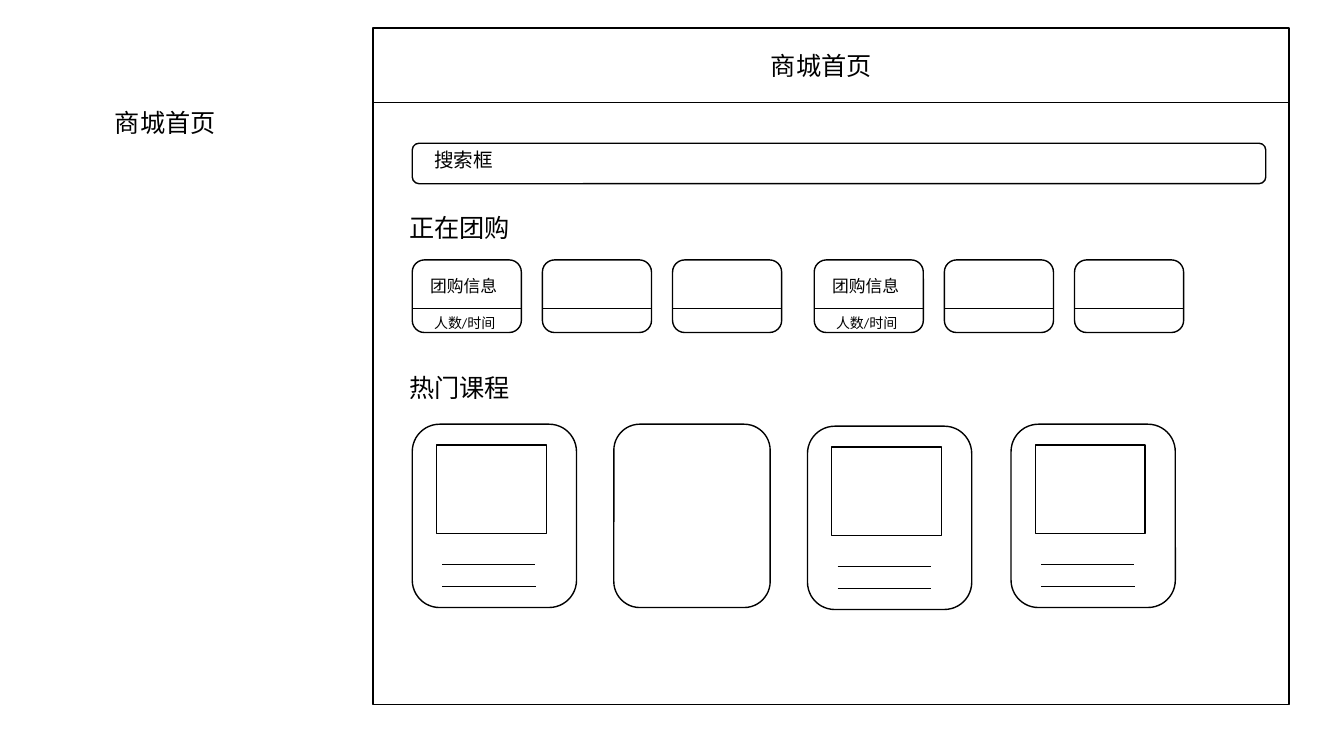
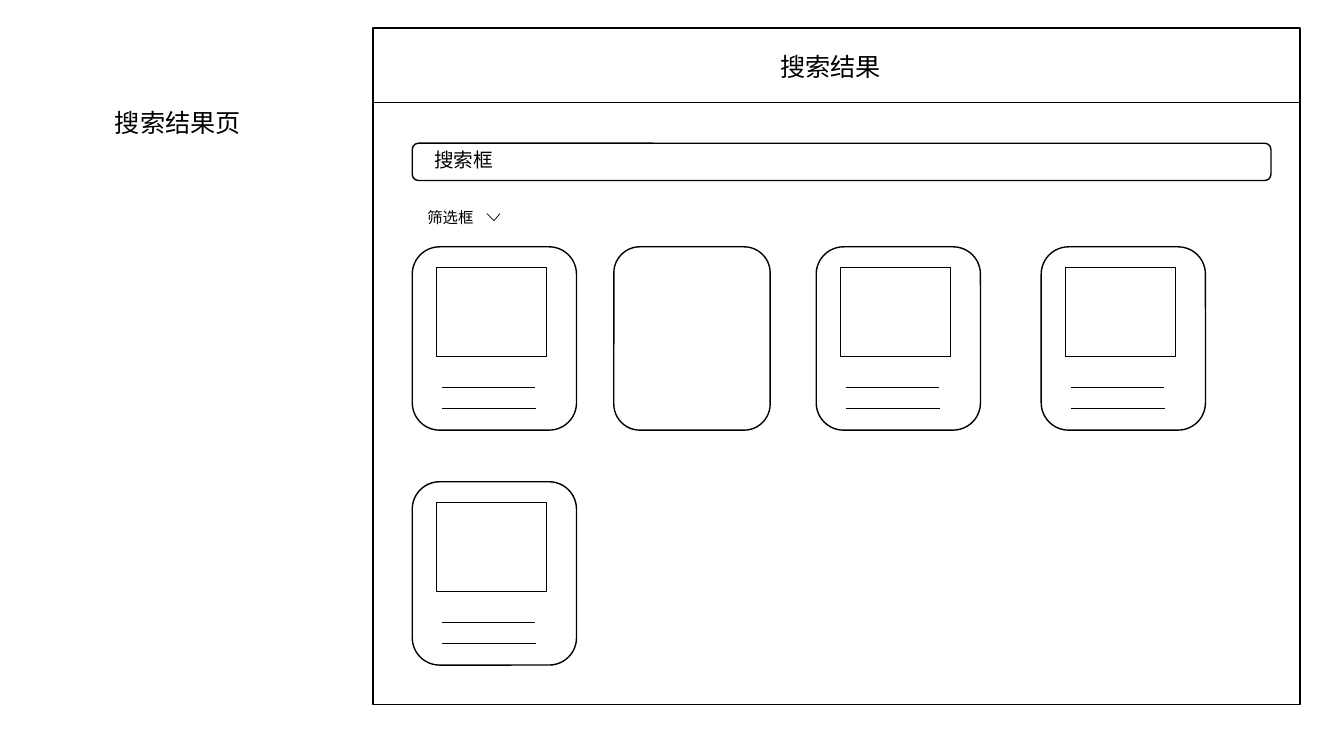
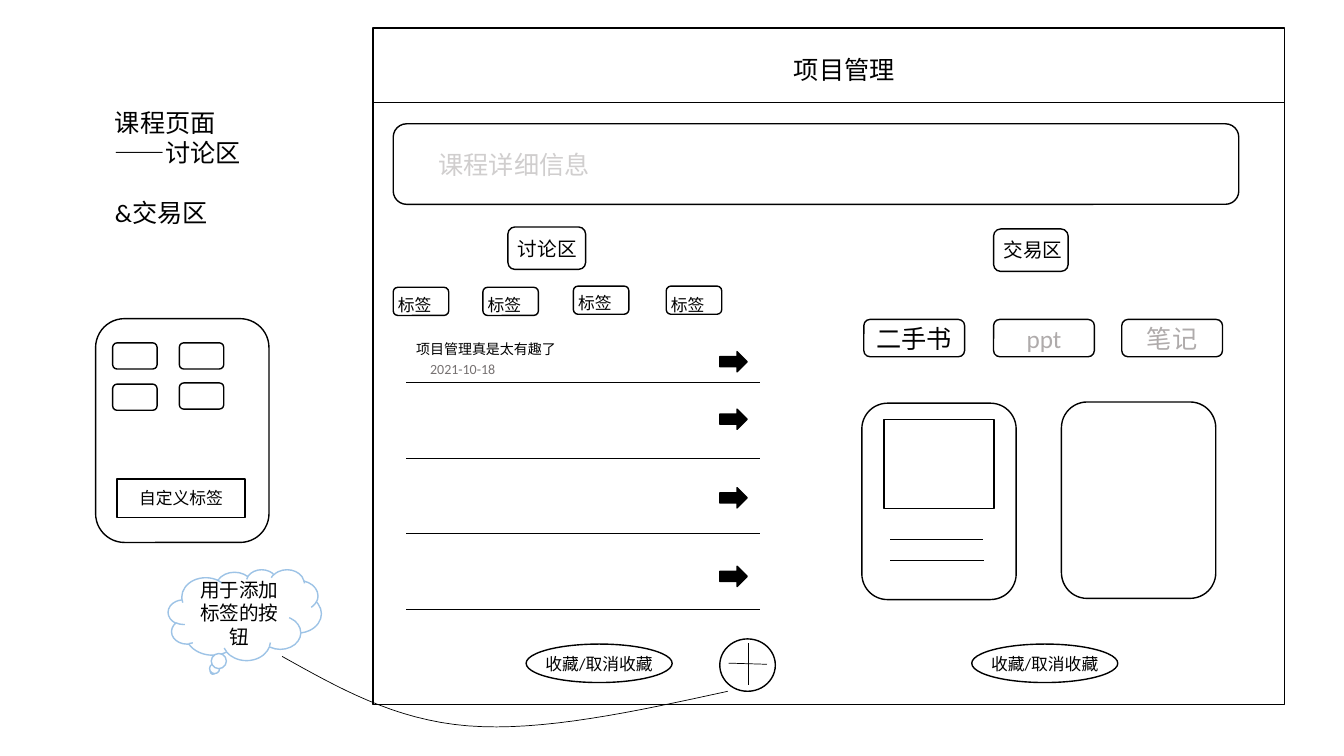
"""Build three wireframe slides of a course shop."""
from dataclasses import dataclass
from typing import Optional

from lxml import etree
from pptx import Presentation
from pptx import util as u
from pptx.dml.color import RGBColor
from pptx.enum import shapes, text
from pptx.oxml.ns import qn
from pptx.shapes.autoshape import Shape
from pptx.slide import Slide
from pptx.text.text import TextFrame

Point = tuple[float, float]
KIND = shapes.MSO_SHAPE


@dataclass(frozen=True)
class Theme:
    """Colours, font, type sizes and line widths."""
    font: str = "Calibri"
    ink: str = "000000"
    paper: str = "FFFFFF"
    sky: str = "9DC3E6"
    pale: str = "D0CECE"
    muted: str = "AFABAB"
    date: str = "767171"
    heading: float = 18
    label: float = 14
    small: float = 12
    filter: float = 11
    tiny: float = 10
    outline: float = 1
    rule: float = 0.5


@dataclass(frozen=True)
class Box:
    """A rectangle in centimetres."""
    left: float
    top: float
    width: float
    height: float

    def emu(self) -> tuple[u.Cm, u.Cm, u.Cm, u.Cm]:
        """Return the four lengths for python-pptx."""
        return u.Cm(self.left), u.Cm(self.top), u.Cm(self.width), u.Cm(self.height)


@dataclass(frozen=True)
class Page:
    """The parts every slide shares: title, window frame and header."""
    title: str
    title_height: float
    frame_width: float
    header: str
    header_box: Box


@dataclass(frozen=True)
class Card:
    """A course card, with a cover at the given inset if there is one."""
    box: Box
    inset: Optional[Point] = None


T = Theme()
COVER_INSET = (0.61, 0.52)


def write(tf: TextFrame, words: str, *, size: float, color: str = T.ink,
          align: text.PP_ALIGN = text.PP_ALIGN.LEFT,
          anchor: text.MSO_ANCHOR = text.MSO_ANCHOR.TOP,
          wrap: bool = True, last_gap: float = 0) -> None:
    """Fill a text frame, one paragraph per line of words."""
    tf.word_wrap = wrap
    tf.auto_size = text.MSO_AUTO_SIZE.NONE
    tf.vertical_anchor = anchor
    for i, line in enumerate(words.split("\n")):
        p = tf.paragraphs[0] if i == 0 else tf.add_paragraph()
        p.alignment = align
        r = p.add_run()
        r.text = line
        r.font.name = T.font
        r.font.size = u.Pt(size)
        r.font.color.rgb = RGBColor.from_string(color)
    if last_gap:
        p.space_before = u.Pt(last_gap)


def label(s: Slide, box: Box, words: str, *, size: float,
          color: str = T.ink, wrap: bool = True) -> None:
    """Add a text box."""
    write(s.shapes.add_textbox(*box.emu()).text_frame, words,
          size=size, color=color, wrap=wrap)


def outline(s: Slide, kind: KIND, box: Box, *, fill: Optional[str] = T.paper,
            line: str = T.ink, words: str = "", size: float = T.small,
            color: str = T.ink, wrap: bool = True) -> Shape:
    """Add an outlined preset shape, with centred words if any."""
    sp = s.shapes.add_shape(kind, *box.emu())
    sp.shadow.inherit = False
    if fill:
        sp.fill.solid()
        sp.fill.fore_color.rgb = RGBColor.from_string(fill)
    else:
        sp.fill.background()
    sp.line.color.rgb = RGBColor.from_string(line)
    sp.line.width = u.Pt(T.outline)
    if words:
        write(sp.text_frame, words, size=size, color=color, wrap=wrap,
              align=text.PP_ALIGN.CENTER, anchor=text.MSO_ANCHOR.MIDDLE)
    return sp


def rule(s: Slide, start: Point, end: Point) -> None:
    """Add a thin straight line."""
    c = s.shapes.add_connector(shapes.MSO_CONNECTOR.STRAIGHT,
                               *(u.Cm(v) for v in start + end))
    c.line.color.rgb = RGBColor.from_string(T.ink)
    c.line.width = u.Pt(T.rule)
    etree.SubElement(c.element.spPr, qn("a:effectLst"))


def bezier(points: tuple[Point, ...], steps: int = 16) -> list[Point]:
    """Return points along a cubic curve, without its start."""
    def at(t: float, axis: int) -> float:
        weights = ((1 - t) ** 3, 3 * t * (1 - t) ** 2, 3 * t * t * (1 - t), t ** 3)
        return sum(w * q[axis] for w, q in zip(weights, points))
    return [(at(i / steps, 0), at(i / steps, 1)) for i in range(1, steps + 1)]


def curve(s: Slide, points: tuple[Point, ...]) -> None:
    """Add a thin line through joined cubic curves."""
    vertices = [v for i in range(0, len(points) - 1, 3) for v in bezier(points[i:i + 4])]
    pen = s.shapes.build_freeform(u.Cm(points[0][0]), u.Cm(points[0][1]))
    pen.add_line_segments([(u.Cm(x), u.Cm(y)) for x, y in vertices], close=False)
    sp = pen.convert_to_shape()
    sp.shadow.inherit = False
    sp.fill.background()
    sp.line.color.rgb = RGBColor.from_string(T.ink)
    sp.line.width = u.Pt(T.rule)


def course_card(s: Slide, card: Card) -> None:
    """Draw a card, its cover and the two text lines below."""
    outline(s, KIND.ROUNDED_RECTANGLE, card.box)
    if card.inset:
        x, y = card.box.left + card.inset[0], card.box.top + card.inset[1]
        outline(s, KIND.RECTANGLE, Box(x, y, 2.77, 2.24))
        for drop, length in ((3.02, 2.34), (3.56, 2.36)):
            rule(s, (x + 0.15, y + drop), (x + 0.15 + length, y + drop))


def course_cards(s: Slide, spots: tuple[Point, ...], blank: Point) -> None:
    """Draw covered cards at the spots, and one blank card."""
    for x, y in spots:
        course_card(s, Card(Box(x, y, 4.14, 4.62), COVER_INSET))
    course_card(s, Card(Box(*blank, 3.94, 4.62)))


def deal_strip(s: Slide, left: float) -> None:
    """Draw three group-buying tiles, the first with its captions."""
    top, pitch, width = 6.55, 3.28, 2.75
    for i in range(3):
        x = left + i * pitch
        outline(s, KIND.ROUNDED_RECTANGLE, Box(x, top, width, 1.83))
        rule(s, (x, top + 1.22), (x + width, top + 1.22))
    label(s, Box(left + 0.2, top + 0.28, 2.31, 0.76), "团购信息", size=T.small)
    label(s, Box(left + 0.3, top + 1.24, 2.24, 0.69), "人数/时间",
          size=T.tiny, wrap=False)


def search_box(s: Slide, width: float, height: float) -> None:
    """Draw the search field."""
    outline(s, KIND.ROUNDED_RECTANGLE, Box(10.39, 3.61, width, height))
    label(s, Box(10.69, 3.61, 2.01, 0.86), "搜索框", size=T.label, wrap=False)


def new_page(prs: Presentation, page: Page) -> Slide:
    """Add a slide with its title, window frame and header."""
    s = prs.slides.add_slide(prs.slide_layouts[5])
    title = s.shapes.title
    title.left, title.top, title.width, title.height = Box(
        2.64, 2.57, 4.85, page.title_height).emu()
    write(title.text_frame, page.title, size=T.heading,
          last_gap=21.5 if "\n" in page.title else 0)
    left, bar = 9.4, 2.57
    outline(s, KIND.RECTANGLE, Box(left, 0.71, page.frame_width, 17.04), fill=None)
    rule(s, (left, bar), (left + page.frame_width, bar))
    label(s, page.header_box, page.header, size=T.heading)
    return s


def home_page(prs: Presentation) -> None:
    """Build the shop home page."""
    s = new_page(prs, Page("商城首页", 1.02, 23.09, "商城首页",
                           Box(19.18, 1.14, 3.3, 1.02)))
    search_box(s, 21.51, 1.02)
    for words, top in (("正在团购", 5.23), ("热门课程", 9.25)):
        label(s, Box(10.06, top, 3.07, 1.02), words, size=T.heading, wrap=False)
    for left in (10.39, 20.52):
        deal_strip(s, left)
    course_cards(s, ((10.39, 10.69), (20.35, 10.74), (25.48, 10.69)), (15.47, 10.69))


def results_page(prs: Presentation) -> None:
    """Build the search results page."""
    s = new_page(prs, Page("搜索结果页", 1.02, 23.36, "搜索结果",
                           Box(19.41, 1.17, 3.3, 1.02)))
    search_box(s, 21.64, 0.94)
    label(s, Box(10.52, 5.11, 1.68, 0.74), "筛选框", size=T.filter, wrap=False)
    tip = (12.45, 5.56)
    rule(s, (12.27, 5.38), tip)
    rule(s, tip, (12.6, 5.38))
    course_cards(s, ((10.39, 6.22), (20.57, 6.22), (26.24, 6.22), (10.39, 12.14)),
                 (15.47, 6.22))


def discussion_area(s: Slide) -> None:
    """Draw the tags, the list of posts and the add button."""
    outline(s, KIND.ROUNDED_RECTANGLE, Box(12.8, 5.72, 1.96, 1.07))
    label(s, Box(12.8, 5.84, 2.08, 0.86), "讨论区", size=T.label)
    for x, y, text_y in ((9.91, 7.24, 7.29), (12.17, 7.24, 7.29),
                         (14.45, 7.21, 7.24), (16.79, 7.21, 7.29)):
        outline(s, KIND.ROUNDED_RECTANGLE, Box(x, y, 1.4, 0.71))
        label(s, Box(x - 0.13, text_y, 1.63, 0.76), "标签", size=T.small)
    for i, arrow_y in enumerate((8.86, 10.31, 12.29, 14.27)):
        y = 9.63 + i * 1.91
        rule(s, (10.24, y), (19.15, y))
        outline(s, KIND.RIGHT_ARROW, Box(18.14, arrow_y, 0.69, 0.51), fill=T.ink)
    label(s, Box(10.24, 8.46, 4.52, 0.69), "项目管理真是太有趣了", size=T.tiny)
    label(s, Box(10.59, 8.97, 3, 0.69), "2021-10-18", size=T.tiny, color=T.date)
    outline(s, KIND.OVAL, Box(18.14, 16.1, 1.4, 1.32))
    rule(s, (18.36, 16.71), (19.33, 16.74))
    rule(s, (18.85, 16.21), (18.85, 17.25))


def tag_panel(s: Slide) -> None:
    """Draw the tag picker, its note and the curve to the add button."""
    outline(s, KIND.CLOUD_CALLOUT, Box(4.24, 14.35, 3.86, 2.29), line=T.sky,
            words="用于添加标签的按钮", size=T.label)
    outline(s, KIND.ROUNDED_RECTANGLE, Box(2.41, 8.03, 4.37, 5.64))
    for x, y in ((2.84, 8.64), (4.52, 8.64), (2.84, 9.68), (4.52, 9.65)):
        outline(s, KIND.ROUNDED_RECTANGLE, Box(x, y, 1.12, 0.66))
    outline(s, KIND.RECTANGLE, Box(2.95, 12.07, 3.23, 0.97), words="自定义标签")
    curve(s, ((7.11, 16.54), (8.51, 17.32), (9.93, 18.14), (11.79, 18.29),
              (13.67, 18.44), (16, 17.93), (18.34, 17.42)))


def trade_area(s: Slide) -> None:
    """Draw the categories and the goods on sale."""
    outline(s, KIND.ROUNDED_RECTANGLE, Box(25.04, 5.77, 1.88, 1.07))
    label(s, Box(25.04, 5.87, 2.77, 0.86), "交易区", size=T.label)
    for x, words, color in ((21.77, "二手书", T.ink), (25.04, "ppt", T.muted),
                            (28.27, "笔记", T.muted)):
        outline(s, KIND.ROUNDED_RECTANGLE, Box(x, 8.05, 2.54, 0.94),
                words=words, size=T.heading, color=color)
    for card in (Card(Box(21.72, 10.16, 3.89, 4.95), (0.56, 0.41)),
                 Card(Box(26.75, 10.13, 3.89, 4.95))):
        course_card(s, card)


def course_page(prs: Presentation) -> None:
    """Build the course page with discussion and trade areas."""
    s = new_page(prs, Page("课程页面\n——讨论区\n&交易区", 3.33, 22.98, "项目管理",
                           Box(19.76, 1.24, 4.78, 1.02)))
    outline(s, KIND.ROUNDED_RECTANGLE, Box(9.91, 3.12, 21.31, 2.03))
    label(s, Box(10.8, 3.63, 5.99, 1.02), "课程详细信息", size=T.heading, color=T.pale)
    discussion_area(s)
    tag_panel(s)
    trade_area(s)
    for x in (13.26, 24.49):
        outline(s, KIND.OVAL, Box(x, 16.23, 3.68, 0.97),
                words="收藏/取消收藏", wrap=False)


def main() -> None:
    """Build and save the presentation."""
    prs = Presentation()
    prs.slide_width, prs.slide_height = u.Cm(33.87), u.Cm(19.05)
    for build in (home_page, results_page, course_page):
        build(prs)
    prs.save("out.pptx")


main()
